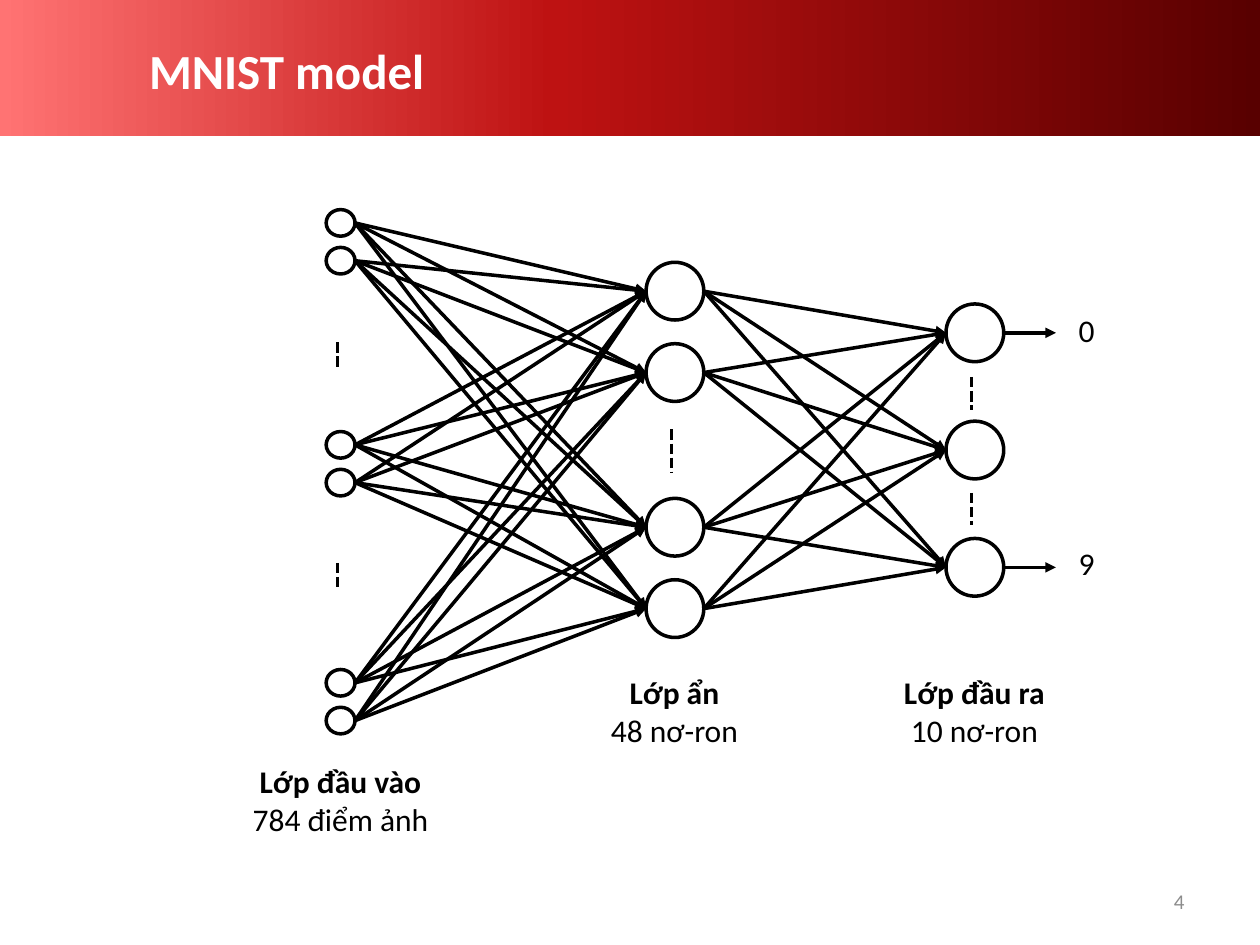
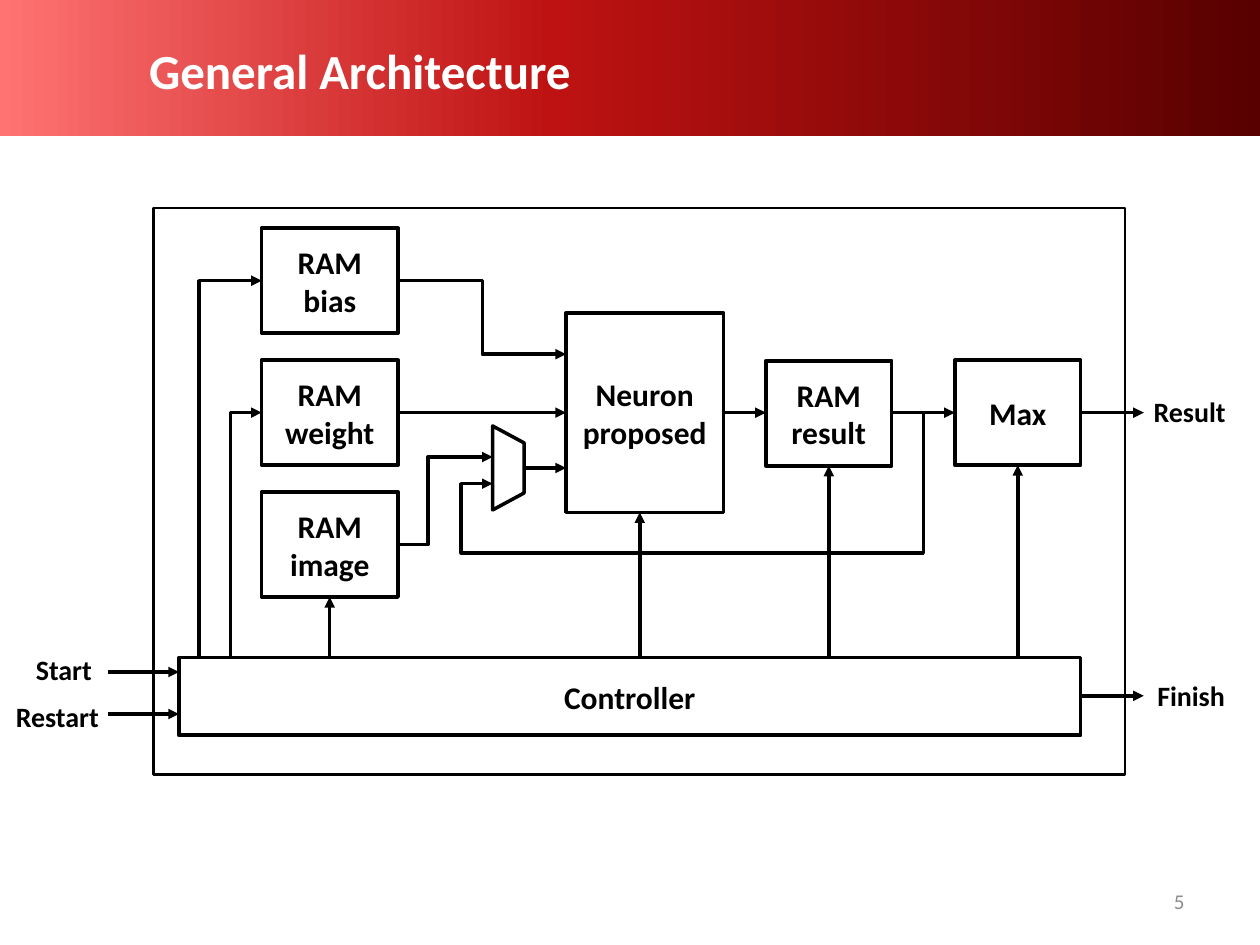
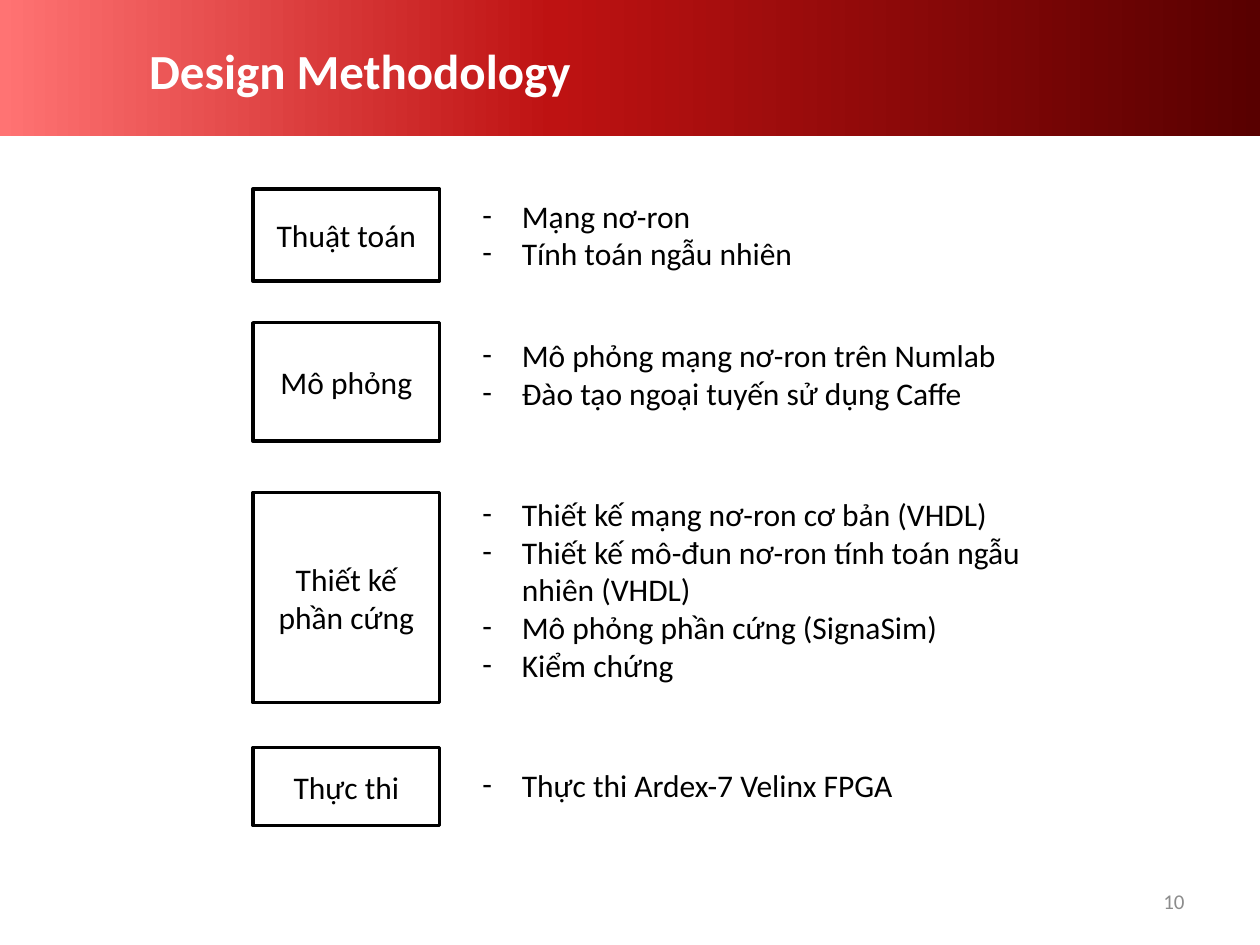
import copy
import itertools

import lxml.etree
import pptx
import pptx.dml.color
import pptx.enum.dml
import pptx.enum.shapes
import pptx.enum.text
import pptx.oxml.ns
import pptx.util

COLORS = {
    "band_start": "FF7373",
    "band_middle": "BE1212",
    "band_end": "580000",
    "title": "FFFFFF",
    "ink": "000000",
    "number": "8C8C8C",
}
FONT = "Calibri"
BAND_STOPS = [(0, "band_start"), (0.44, "band_middle"), (1, "band_end")]
TITLE_BOX = (78, 12, 606, 56)
NUMBER_BOX = (516, 500.5, 168, 28.8)
BULLET_INDENT = 22.5

Shape = pptx.enum.shapes.MSO_SHAPE
Connector = pptx.enum.shapes.MSO_CONNECTOR
Align = pptx.enum.text.PP_ALIGN
Anchor = pptx.enum.text.MSO_ANCHOR


def points(*lengths):
    return [pptx.util.Pt(length) for length in lengths]


def rgb(name):
    return pptx.dml.color.RGBColor.from_string(COLORS[name])


def add_element(parent, tag, **attributes):
    return lxml.etree.SubElement(parent, pptx.oxml.ns.qn(tag), attributes)


def write_text(text_frame, text, size=18, color="ink", bold=False, bold_first=False,
               align=Align.CENTER, anchor=Anchor.TOP, wrap=True, bullet=None):
    """Write one paragraph per line of text, all in one format."""
    text_frame.word_wrap = wrap
    text_frame.vertical_anchor = anchor
    for index, line in enumerate(text.split("\n")):
        paragraph = text_frame.add_paragraph() if index else text_frame.paragraphs[0]
        paragraph.alignment = align
        run = paragraph.add_run()
        run.text = line
        run.font.name = FONT
        run.font.size = pptx.util.Pt(size)
        run.font.bold = bold or (bold_first and index == 0)
        run.font.color.rgb = rgb(color)
        if bullet:
            properties = paragraph._p.get_or_add_pPr()
            indent = pptx.util.Pt(BULLET_INDENT)
            properties.set("marL", str(indent))
            properties.set("indent", str(-indent))
            add_element(properties, "a:buFont", typeface=FONT)
            add_element(properties, "a:buChar", char=bullet)


class Deck:
    """Holds the shared style and the slide being built."""

    def __init__(self):
        self.presentation = pptx.Presentation()
        self.presentation.slide_width, self.presentation.slide_height = points(720, 540)
        self.layout = self.presentation.slide_layouts.get_by_name("Title Only")
        title = self.layout.placeholders[0]
        title.left, title.top, title.width, title.height = points(*TITLE_BOX)
        self.slide = None

    def add_slide(self, title, number):
        first = self.slide is None
        self.slide = self.presentation.slides.add_slide(self.layout)
        if first:
            self.add_band()
        frame = self.slide.shapes.title.text_frame
        write_text(frame, title, size=28, color="title", bold=True,
                   align=Align.LEFT, anchor=Anchor.MIDDLE)
        self.label(NUMBER_BOX, str(number), size=12, color="number",
                   align=Align.RIGHT, anchor=Anchor.MIDDLE)

    def add_band(self):
        """Draw the title band and move it behind the layout's placeholders."""
        band = self.slide.shapes.add_shape(Shape.RECTANGLE, *points(0, 0, 720, 77.75))
        band.shadow.inherit = False
        band.line.fill.background()
        band.fill.gradient()
        band.fill.gradient_angle = 0
        stop_list = band.element.xpath(".//a:gsLst")[0]
        stop_list.append(copy.deepcopy(stop_list[0]))
        for stop, (position, color) in zip(band.fill.gradient_stops, BAND_STOPS):
            stop.position = position
            stop.color.rgb = rgb(color)
        band.element.xpath("./p:nvSpPr/p:cNvPr")[0].set("id", "100")
        self.layout.placeholders[0].element.addprevious(band.element)

    def outline(self, kind, box, text="", line_width=2, **text_format):
        shape = self.slide.shapes.add_shape(kind, *points(*box))
        shape.shadow.inherit = False
        shape.fill.background()
        shape.line.color.rgb = rgb("ink")
        shape.line.width = pptx.util.Pt(line_width)
        if text:
            write_text(shape.text_frame, text, anchor=Anchor.MIDDLE, **text_format)
        return shape

    def label(self, box, text, **text_format):
        textbox = self.slide.shapes.add_textbox(*points(*box))
        write_text(textbox.text_frame, text, **text_format)

    def line(self, start, end, kind=Connector.STRAIGHT, arrow=True, dashed=False):
        connector = self.slide.shapes.add_connector(kind, *points(*start, *end))
        connector.line.color.rgb = rgb("ink")
        connector.line.width = pptx.util.Pt(2)
        if dashed:
            connector.line.dash_style = pptx.enum.dml.MSO_LINE.SQUARE_DOT
        if arrow:
            add_element(connector.line._get_or_add_ln(), "a:tailEnd", type="triangle")
        add_element(connector.element.spPr, "a:effectLst")
        return connector

    def elbow(self, start, end, *turns):
        """Bent arrow; turns are the x, y, x ... where it changes direction."""
        connector = self.line(start, end, Connector.ELBOW)
        geometry = connector.element.xpath(".//a:prstGeom")[0]
        geometry.set("prst", f"bentConnector{len(turns) + 2}")
        for child in list(geometry):
            geometry.remove(child)
        guides = add_element(geometry, "a:avLst")
        for index, turn in enumerate(turns):
            axis = index % 2
            share = (turn - start[axis]) / (end[axis] - start[axis])
            name = f"adj{index + 1}"
            add_element(guides, "a:gd", name=name, fmla=f"val {round(share * 100000)}")
        return connector

    def riser(self, start, end):
        """Bent arrow that goes up from start, then right to end."""
        center_x, center_y = (start[0] + end[0]) / 2, (start[1] + end[1]) / 2
        half_length, half_height = (start[1] - end[1]) / 2, (end[0] - start[0]) / 2
        connector = self.elbow((center_x + half_length, center_y + half_height),
                               (center_x - half_length, center_y - half_height))
        connector.rotation = 90


deck = Deck()

# Slide: neural network
deck.add_slide("MNIST model", 4)

# Each layer: left edge, neuron width and height, neuron centres
input_layer = (186.4, 16.5, 15.2, [top + step for top in (127.4, 254.2, 390.2)
                                   for step in (0, 21.6)])
hidden_layer = (369.2, 33, 33, [top + step for top in (166.4, 301.3)
                                for step in (0, 46.5)])
output_layer = (540.6, 33, 33, [190.2 + 67 * row for row in range(3)])
layers = [input_layer, hidden_layer, output_layer]

for left, width, height, centers in layers:
    for center in centers:
        deck.outline(Shape.OVAL, (left, center - height / 2, width, height))

for source, target in itertools.pairwise(layers):
    for target_y, source_y in itertools.product(target[3], source[3]):
        deck.line((source[0] + source[1], source_y), (target[0], target_y))

# Omitted neurons
for x, top, bottom in [(193, 195.6, 211), (193, 321.6, 337), (383.8, 245.4, 270),
                       (555.2, 215.4, 234), (555.2, 281.6, 300)]:
    deck.line((x, top), (x, bottom), arrow=False, dashed=True)

for left, top, text in [(134.6, 432, "Lớp đầu vào\n784 điểm ảnh"),
                        (325.4, 381, "Lớp ẩn\n48 nơ-ron"),
                        (496.8, 381, "Lớp đầu ra\n10 nơ-ron")]:
    deck.label((left, top, 120, 51), text, bold_first=True)

for center, top, digit in [(190.2, 174.2, "0"), (324.2, 307.4, "9")]:
    deck.line((573.6, center), (603.4, center))
    deck.label((606.2, top, 29.5, 29), digit)

# Slide: block diagram
deck.add_slide("General Architecture", 5)

RAM_LEFT, RAM_WIDTH, BLOCK_HEIGHT = 149.5, 78, 60
RAM_RIGHT = RAM_LEFT + RAM_WIDTH
bias_y, weight_y, image_y = [160.4 + 75.4 * row for row in range(3)]
NEURON_LEFT, NEURON_RIGHT = 323.4, 413.4
RESULT_LEFT, RESULT_RIGHT = 437.6, 509.6
MAX_LEFT, MAX_RIGHT = 545.6, 617.6
CONTROLLER_LEFT, CONTROLLER_TOP = 102.2, 375.8

# Blocks
for text, center in [("RAM\nbias", bias_y), ("RAM weight", weight_y),
                     ("RAM\nimage", image_y)]:
    box = (RAM_LEFT, center - BLOCK_HEIGHT / 2, RAM_WIDTH, BLOCK_HEIGHT)
    deck.outline(Shape.RECTANGLE, box, text, bold=True)
for text, left, top, width, height in [
    ("Neuron proposed", NEURON_LEFT, 178.8, 90, 114),
    ("RAM\nresult", RESULT_LEFT, 206.2, 72, BLOCK_HEIGHT),
    ("Max", MAX_LEFT, 205.8, 72, BLOCK_HEIGHT),
    ("Controller", CONTROLLER_LEFT, CONTROLLER_TOP, 515.4, 44.4),
]:
    deck.outline(Shape.RECTANGLE, (left, top, width, height), text, bold=True)
deck.outline(Shape.RECTANGLE, (87.8, 118.8, 555.2, 324), line_width=1.5)

multiplexer = deck.outline(Shape.TRAPEZOID, (266.5, 258.4, 48, 18))
multiplexer.rotation = 90
multiplexer.adjustments[0] = 0.54

# Data flow
for start_x, end_x in [(RAM_RIGHT, NEURON_LEFT), (NEURON_RIGHT, RESULT_LEFT),
                       (RESULT_RIGHT, MAX_LEFT), (MAX_RIGHT, 653.6)]:
    deck.line((start_x, weight_y), (end_x, weight_y))
deck.line((299.5, 267.4), (NEURON_LEFT, 267.4))
deck.elbow((RAM_RIGHT, bias_y), (NEURON_LEFT, 202.4), 275.6)
deck.elbow((RAM_RIGHT, image_y), (281.5, 261.2), 244.6)
deck.elbow((RESULT_RIGHT, weight_y), (281.5, 276.4), 527.6, 316, 263.4)

# Control signals
for x, top in [(188.4, 341.2), (365.6, 292.8), (473.6, 266.2), (581.6, 265.8)]:
    deck.line((x, CONTROLLER_TOP), (x, top))
for x, target_y in [(131.8, weight_y), (113.8, bias_y)]:
    deck.riser((x, CONTROLLER_TOP), (RAM_LEFT, target_y))
for y in (384, 408):
    deck.line((62, y), (CONTROLLER_LEFT, y))
deck.line((MAX_RIGHT, 397.6), (653.6, 397.6))

for text, left, top, width in [("Start", 12, 369.6, 49), ("Restart", 0, 396, 65.5),
                               ("Result", 651, 221.8, 57.6), ("Finish", 653.6, 384, 54)]:
    deck.label((left, top, width, 26.6), text, size=16, bold=True, wrap=False)

# Slide: design steps
deck.add_slide("Design Methodology", 10)

# Each step: name, box top and height, list top, width and height, list lines
steps = [
    ("Thuật toán", 108, 52.6, 108.8, 222, 54.6,
     ["Mạng nơ-ron", "Tính toán ngẫu nhiên"]),
    ("Mô phỏng", 184.4, 67.6, 188.4, 332, 54.6,
     ["Mô phỏng mạng nơ-ron trên Numlab", "Đào tạo ngoại tuyến sử dụng Caffe"]),
    ("Thiết kế phần cứng", 281.4, 120.2, 279.2, 332, 116.6,
     ["Thiết kế mạng nơ-ron cơ bản (VHDL)",
      "Thiết kế mô-đun nơ-ron tính toán ngẫu nhiên (VHDL)",
      "Mô phỏng phần cứng (SignaSim)", "Kiểm chứng"]),
    ("Thực thi", 427.2, 44.6, 434.2, 332, 29,
     ["Thực thi Ardex-7 Velinx FPGA"]),
]
for name, top, height, list_top, list_width, list_height, lines in steps:
    deck.outline(Shape.RECTANGLE, (144.6, top, 106.6, height), name)
    deck.label((268.6, list_top, list_width, list_height), "\n".join(lines),
               align=Align.LEFT, bullet="-")

deck.presentation.save("out.pptx")
